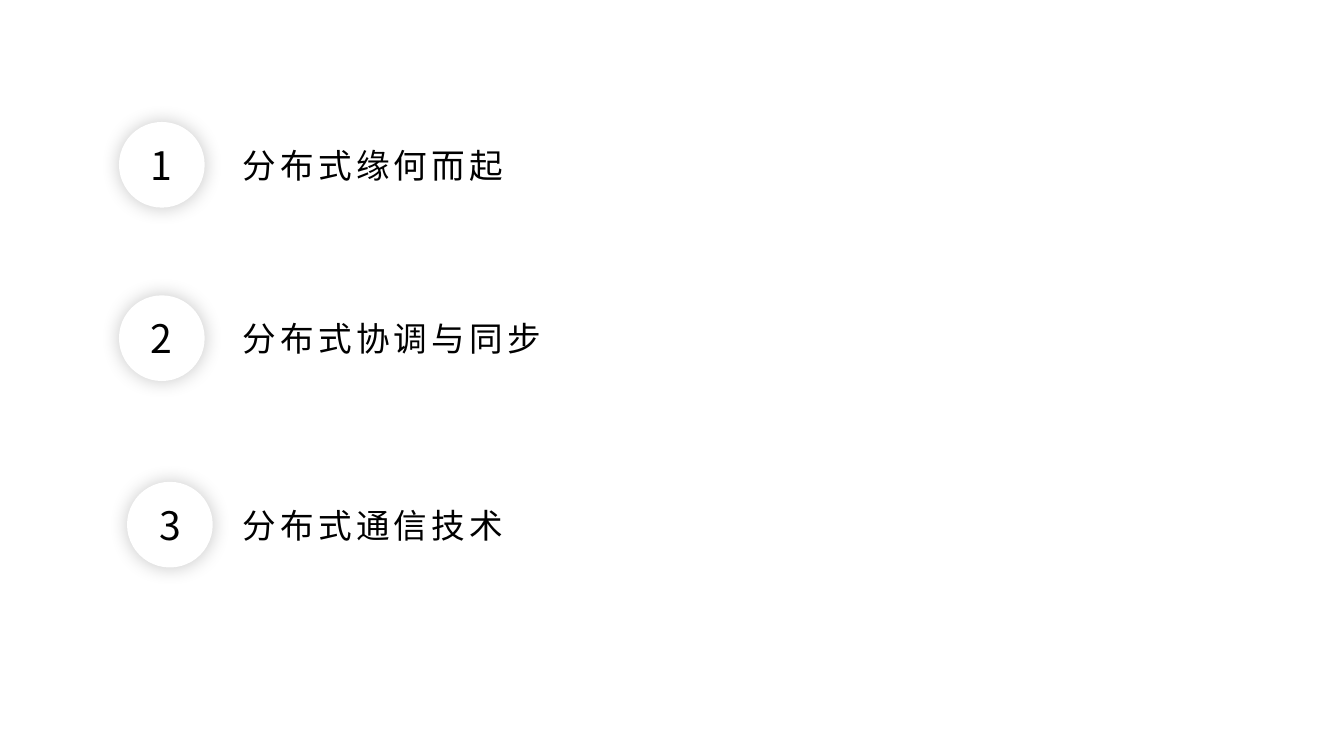
from lxml.etree import SubElement
from pptx import Presentation
from pptx.dml.color import RGBColor
from pptx.enum.shapes import MSO_SHAPE
from pptx.enum.text import MSO_ANCHOR, MSO_AUTO_SIZE, PP_ALIGN
from pptx.oxml.ns import qn
from pptx.util import Inches, Pt

FONT = "Noto Sans CJK SC"
BLACK, WHITE = "000000", "FFFFFF"
BADGE_SIZE = 0.85
TITLE_LEFT = 2.31
# number, badge left, badge top, title
CHAPTERS = [
    ("1", 1.18, 1.21, "分布式缘何而起"),
    ("2", 1.18, 2.93, "分布式协调与同步"),
    ("3", 1.26, 4.78, "分布式通信技术"),
]


def rgb(hex_color):
    return RGBColor.from_string(hex_color)


def add_text(shapes, text, left, top, width, height, *, size,
             color=BLACK, align=PP_ALIGN.LEFT, spacing=0):
    """Add a one-line text box; spacing is the letter spacing in points."""
    box = shapes.add_textbox(Inches(left), Inches(top), Inches(width), Inches(height))
    frame = box.text_frame
    frame.word_wrap = True
    frame.auto_size = MSO_AUTO_SIZE.SHAPE_TO_FIT_TEXT
    frame.vertical_anchor = MSO_ANCHOR.MIDDLE
    paragraph = frame.paragraphs[0]
    paragraph.alignment = align
    run = paragraph.add_run()
    run.text = text
    run.font.size = Pt(size)
    run.font.name = FONT
    run.font.color.rgb = rgb(color)
    properties = run.font._element
    SubElement(properties, qn("a:ea"), typeface=FONT)
    if spacing:
        properties.set("spc", str(spacing * 100))


def add_glow_shadow(shape, color=BLACK, opacity=22, blur=14):
    """Give the shape a soft shadow spread evenly around it."""
    shape.shadow.inherit = False
    effects = shape._element.spPr.find(qn("a:effectLst"))
    shadow = SubElement(effects, qn("a:outerShdw"), blurRad=str(Pt(blur)),
                        dist="0", dir="0", algn="ctr", rotWithShape="0")
    shade = SubElement(shadow, qn("a:srgbClr"), val=color)
    SubElement(shade, qn("a:alpha"), val=str(opacity * 1000))


def add_badge(slide, number, left, top, size):
    """Add a numbered white disc in the square box given."""
    badge = slide.shapes.add_group_shape()
    disc = badge.shapes.add_shape(MSO_SHAPE.OVAL, Inches(left), Inches(top),
                                  Inches(size), Inches(size))
    disc.fill.solid()
    disc.fill.fore_color.rgb = rgb(WHITE)
    disc.line.fill.background()
    add_glow_shadow(disc)
    width, height = 1.02, 0.57
    add_text(badge.shapes, number, left + (size - width) / 2,
             top + (size - height) / 2, width, height,
             size=28, align=PP_ALIGN.CENTER)


def add_chapter(slide, number, left, top, title):
    add_badge(slide, number, left, top, BADGE_SIZE)
    height = 0.5
    add_text(slide.shapes, title, TITLE_LEFT, top + (BADGE_SIZE - height) / 2,
             8.18, height, size=24, spacing=3)


def main():
    deck = Presentation()
    deck.slide_width, deck.slide_height = Inches(13.33), Inches(7.5)
    slide = deck.slides.add_slide(deck.slide_layouts[6])
    slide.background.fill.solid()
    slide.background.fill.fore_color.rgb = rgb(WHITE)
    for chapter in CHAPTERS:
        add_chapter(slide, *chapter)
    deck.save("out.pptx")


if __name__ == "__main__":
    main()
